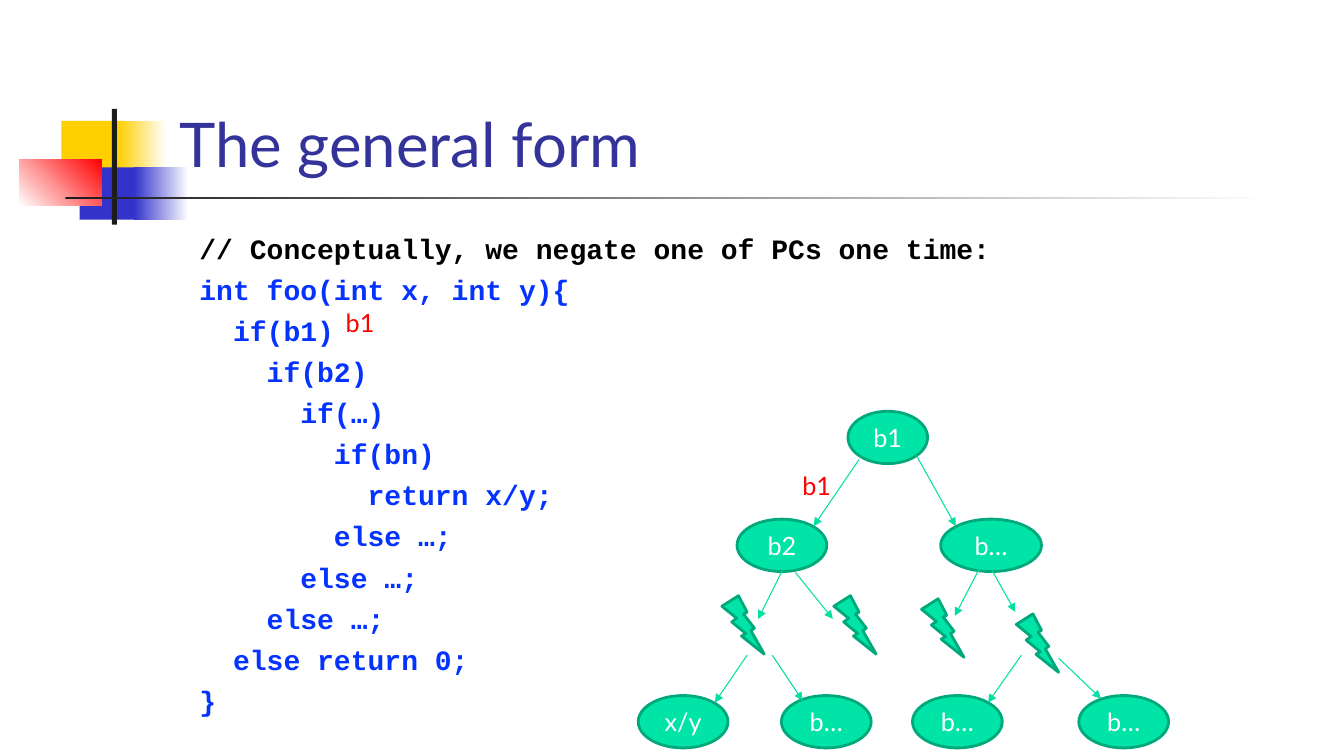
import pptx
import pptx.dml.color
import pptx.enum.shapes
import pptx.enum.text
import pptx.oxml.ns
import pptx.util
from lxml import etree
from pptx.util import Inches

COLORS = {
    "yellow": "FFCF01", "blue": "3333CC", "red": "FF0000", "black": "000000",
    "dark": "1C1C1C", "white": "FFFFFF", "title": "333399", "code": "0432FF",
    "node": "00E4A8", "outline": "00A97C", "arrow": "00DFA4",
}
RGB = {name: pptx.dml.color.RGBColor.from_string(value) for name, value in COLORS.items()}
SHAPE = pptx.enum.shapes.MSO_SHAPE
ANCHOR = pptx.enum.text.MSO_ANCHOR
ALIGN = pptx.enum.text.PP_ALIGN


def write_text(shape, text, size=18, color="red", font="Lato", bold=False,
               align=ALIGN.LEFT, anchor=ANCHOR.TOP, space_before=0, first_color=None):
    """Fill a shape with one paragraph per line of text."""
    frame = shape.text_frame
    frame.word_wrap = True
    frame.vertical_anchor = anchor
    for index, line in enumerate(text.split("\n")):
        paragraph = frame.paragraphs[0] if index == 0 else frame.add_paragraph()
        paragraph.alignment = align
        if index:
            paragraph.space_before = pptx.util.Pt(space_before)
        run = paragraph.add_run()
        run.text = line
        run.font.name = font
        run.font.size = pptx.util.Pt(size)
        run.font.bold = bold
        run.font.color.rgb = RGB[first_color if first_color and index == 0 else color]


def add_filled_shape(kind, left, top, width, height, color, end_color=None,
                     angle=0, outline=None):
    """Add a preset shape with a solid fill, or a gradient if end_color is given."""
    shape = slide.shapes.add_shape(kind, Inches(left), Inches(top), Inches(width), Inches(height))
    shape.shadow.inherit = False
    if end_color:
        shape.fill.gradient()
        shape.fill.gradient_angle = angle
        for stop, name in zip(shape.fill.gradient_stops, (color, end_color)):
            stop.color.rgb = RGB[name]
    else:
        shape.fill.solid()
        shape.fill.fore_color.rgb = RGB[color]
    if outline:
        shape.line.color.rgb = RGB[outline]
        shape.line.width = pptx.util.Pt(2)
    else:
        shape.line.fill.background()
    return shape


presentation = pptx.Presentation()
presentation.slide_width = Inches(13.33)
presentation.slide_height = Inches(7.5)
slide = presentation.slides.add_slide(presentation.slide_layouts[6])

# Corner ornament and rule: left, top, width, height, colour, end colour, angle
ornament = [
    (0.61, 1.2, 0.64, 0.52, "yellow", None, 0),
    (1.17, 1.2, 0.48, 0.52, "yellow", "white", 0),
    (0.79, 1.66, 0.62, 0.52, "blue", None, 0),
    (1.33, 1.66, 0.54, 0.52, "blue", "white", 0),
    (0.19, 1.58, 0.82, 0.46, "white", "red", 45),
    (1.11, 1.08, 0.05, 1.15, "dark", None, 0),
    (0.65, 1.95, 12, 0.03, "dark", "white", 0),
]
for left, top, width, height, color, end_color, angle in ornament:
    add_filled_shape(SHAPE.RECTANGLE, left, top, width, height, color, end_color, angle)

code = """// Conceptually, we negate one of PCs one time:
int foo(int x, int y){
  if(b1)
    if(b2)
      if(…)
        if(bn)
          return x/y;
        else …;
      else …;
    else …;
  else return 0;
}"""
texts = [
    (1.68, 0.23, 11.36, 1.6, "The general form",
     dict(size=44, color="title", anchor=ANCHOR.BOTTOM)),
    (1.88, 2.25, 8.5, 4.5, code,
     dict(size=20, color="code", first_color="black", font="Courier New", bold=True,
          space_before=5.3)),
    (3.33, 3, 2.75, 0.4, "b1", {}),
    (7.86, 4.62, 0.89, 0.4, "b1", {}),
]
for left, top, width, height, text, text_format in texts:
    text_box = slide.shapes.add_textbox(Inches(left), Inches(top), Inches(width), Inches(height))
    write_text(text_box, text, **text_format)

# Tree nodes: left, top, width, label
nodes = [
    (8.41, 4.08, 0.79, "b1"),
    (7.31, 5.15, 0.89, "b2"),
    (9.33, 5.15, 1, "b…"),
    (6.33, 6.9, 0.89, "x/y"),
    (7.75, 6.9, 0.89, "b…"),
    (9.05, 6.9, 0.89, "b…"),
    (10.7, 6.9, 0.89, "b…"),
]
for left, top, width, label in nodes:
    node = add_filled_shape(SHAPE.OVAL, left, top, width, 0.52, "node", outline="outline")
    node.text_frame.margin_left = node.text_frame.margin_right = 0
    write_text(node, label, color="white", align=ALIGN.CENTER, anchor=ANCHOR.MIDDLE)

for left, top in [(7.16, 5.91), (8.27, 5.91), (9.14, 5.94), (10.08, 6.09)]:
    add_filled_shape(SHAPE.LIGHTNING_BOLT, left, top, 0.42, 0.58, "node", outline="outline")

# Tree arrows: start x, start y, end x, end y
arrows = [
    (8.52, 4.56, 8.07, 5.22), (9.09, 4.52, 9.48, 5.22),
    (7.76, 5.66, 7.52, 6.14), (7.89, 5.68, 8.26, 6.14),
    (9.72, 5.63, 9.47, 6.11), (9.84, 5.66, 10.07, 6.07),
    (7.41, 6.5, 7.09, 6.97), (7.66, 6.5, 7.96, 6.95),
    (10.13, 6.5, 9.8, 6.97), (10.5, 6.53, 10.92, 6.93),
]
for points in arrows:
    arrow = slide.shapes.add_connector(
        pptx.enum.shapes.MSO_CONNECTOR.STRAIGHT, *[Inches(value) for value in points])
    arrow.line.color.rgb = RGB["arrow"]
    arrow.line.width = pptx.util.Pt(0.75)
    properties = arrow._element.spPr
    line = properties.find(pptx.oxml.ns.qn("a:ln"))
    etree.SubElement(line, pptx.oxml.ns.qn("a:tailEnd"), type="triangle")
    etree.SubElement(properties, pptx.oxml.ns.qn("a:effectLst"))

presentation.save("out.pptx")
